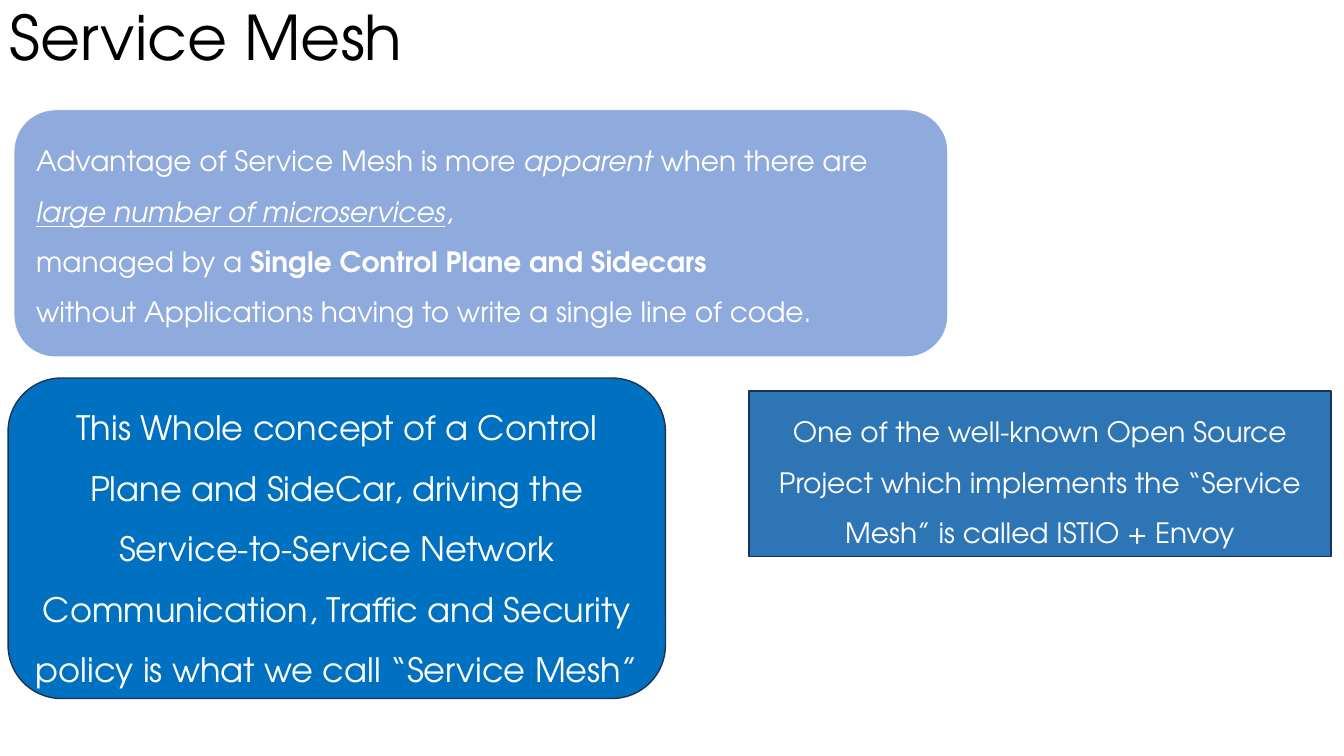
from pptx import Presentation
from pptx.dml.color import RGBColor
from pptx.enum.shapes import MSO_SHAPE as SHAPE
from pptx.enum.text import MSO_ANCHOR as ANCHOR, PP_ALIGN as ALIGN
from pptx.util import Inches, Pt

COLORS = {
    "text": "000000",
    "white": "FFFFFF",
    "advantage": "8FAADC",
    "concept": "0070C0",
    "project": "2E75B6",
    "outline": "1E3256",
}
FONT = "TeX Gyre Adventor"


def write(frame, paragraphs, size=20, color="white", align=ALIGN.CENTER,
          anchor=ANCHOR.MIDDLE, spacing=1.5):
    frame.word_wrap = True
    frame.vertical_anchor = anchor
    for index, pieces in enumerate(paragraphs):
        paragraph = frame.add_paragraph() if index else frame.paragraphs[0]
        paragraph.alignment = align
        paragraph.line_spacing = spacing
        for words, style in pieces:
            run = paragraph.add_run()
            run.text = words
            run.font.name = FONT
            run.font.size = Pt(size)
            run.font.color.rgb = RGBColor.from_string(COLORS[color])
            run.font.bold = "b" in style
            run.font.italic = "i" in style
            run.font.underline = "u" in style


deck = Presentation()
deck.slide_width = Inches(13.33)
deck.slide_height = Inches(7.5)
slide = deck.slides.add_slide(deck.slide_layouts[6])

advantage = [
    [
        ("Advantage of Service Mesh is more ", ""),
        ("apparent", "i"),
        (" when there are ", ""),
        ("large number of microservices", "iu"),
        (",", ""),
    ],
    [("managed by a ", ""), ("Single Control Plane and Sidecars", "b")],
    [("without Applications having to write a single line of code.", "")],
]
concept = [[(
    "This Whole concept of a Control Plane and SideCar, driving the "
    "Service-to-Service Network Communication, Traffic and Security "
    "policy is what we call “Service Mesh”", "")]]
project = [[(
    "One of the well-known Open Source Project which implements the "
    "“Service Mesh” is called ISTIO + Envoy", "")]]

panels = [
    (SHAPE.ROUNDED_RECTANGLE, (0.14, 1.09, 9.26, 2.45), "advantage", "white", 0.5,
     advantage, {"align": ALIGN.LEFT, "anchor": ANCHOR.TOP}),
    (SHAPE.ROUNDED_RECTANGLE, (0.08, 3.75, 6.52, 3.18), "concept", "outline", 1,
     concept, {"size": 24}),
    (SHAPE.RECTANGLE, (7.43, 3.88, 5.77, 1.64), "project", "outline", 1,
     project, {}),
]
for kind, place, fill, line, weight, paragraphs, text_format in panels:
    panel = slide.shapes.add_shape(kind, *map(Inches, place))
    panel.shadow.inherit = False
    panel.fill.solid()
    panel.fill.fore_color.rgb = RGBColor.from_string(COLORS[fill])
    panel.line.color.rgb = RGBColor.from_string(COLORS[line])
    panel.line.width = Pt(weight)
    write(panel.text_frame, paragraphs, **text_format)

title = slide.shapes.add_textbox(Inches(0), Inches(-0.05), Inches(4.47), Inches(0.9))
write(title.text_frame, [[("Service Mesh", "")]], size=44, color="text",
      align=ALIGN.LEFT, spacing=0.9)

deck.save("out.pptx")
